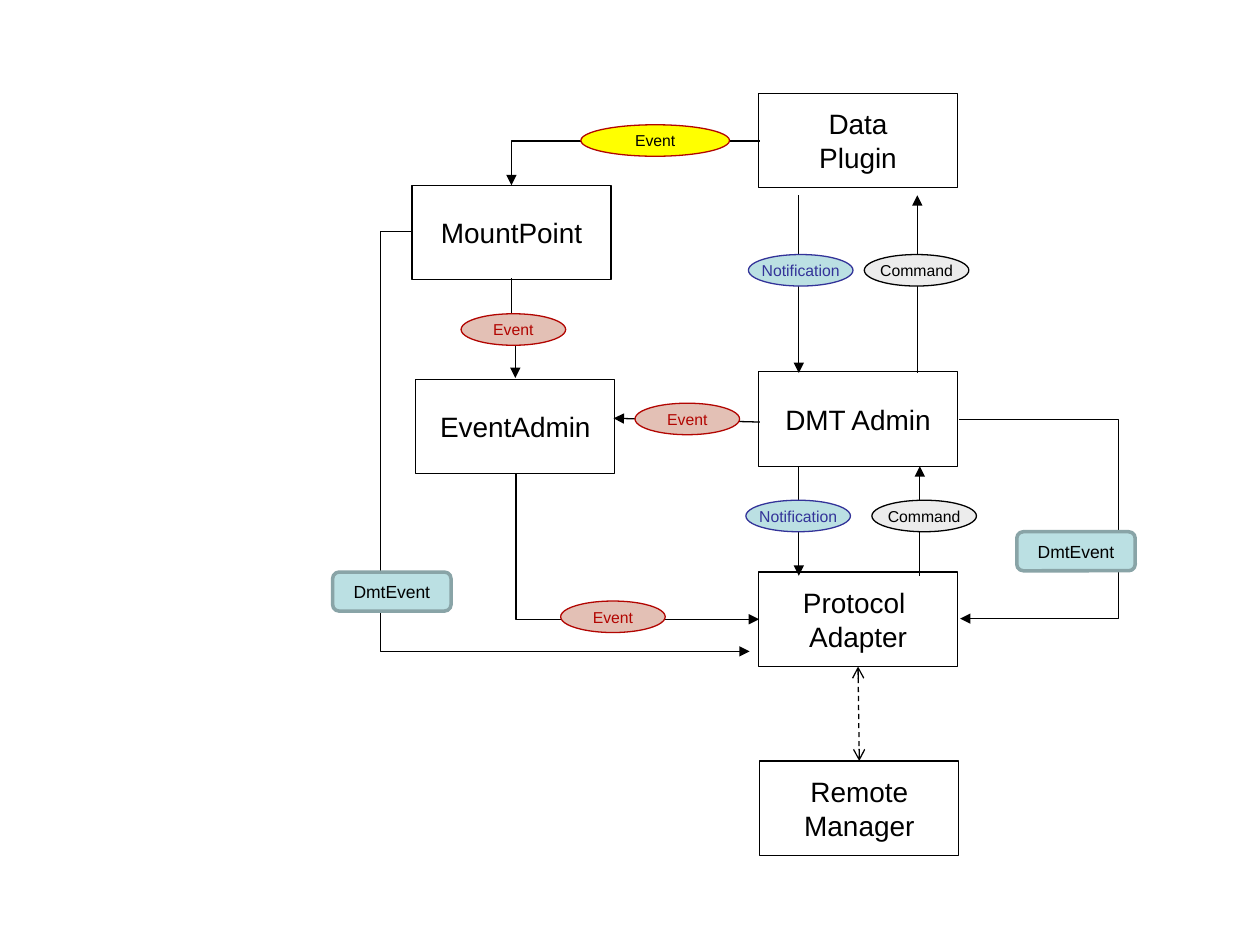
from lxml.etree import SubElement
from pptx import Presentation
from pptx.dml.color import RGBColor
from pptx.enum.dml import MSO_LINE_DASH_STYLE as Dash
from pptx.enum.shapes import MSO_CONNECTOR as Connector, MSO_SHAPE as Shape
from pptx.enum.text import MSO_ANCHOR as Anchor, PP_ALIGN as Align
from pptx.oxml.ns import qn
from pptx.util import Inches, Pt

BLACK = RGBColor(0x00, 0x00, 0x00)
RED = RGBColor(0xB2, 0x05, 0x01)
PINK = RGBColor(0xE3, 0xC0, 0xB5)
YELLOW = RGBColor(0xFF, 0xFF, 0x00)
NAVY = RGBColor(0x33, 0x33, 0x99)
AQUA = RGBColor(0xBB, 0xE0, 0xE3)
TEAL = RGBColor(0x89, 0xA4, 0xA7)
GREY = RGBColor(0xEC, 0xEC, 0xEC)

DIAGRAM = (2.6, 0.7, 6.45, 6.13)
NODE_SIZE = (1.58, 0.75)

NODES = {
    "DMT Admin": (3.42, 2.25),
    "Protocol \nAdapter": (3.42, 3.84),
    "Data\nPlugin": (3.42, 0.04),
    "Remote\nManager": (3.43, 5.34),
    "MountPoint": (0.67, 0.77),
    "EventAdmin": (0.7, 2.31),
}

ARROWS = [
    ((3.74, 0.85), (3.74, 2.26)),
    ((3.74, 3.0), (3.74, 3.87)),
    ((4.68, 2.26), (4.68, 0.85)),
    ((4.7, 3.87), (4.7, 3.0)),
    ((3.43, 2.65), (2.27, 2.62)),
]

ELBOWS = [
    ("bentConnector2", (1.88, 2.67, 1.16, 1.93), {"rot": "16200000", "flipH": "1"}, []),
    ("bentConnector2", (1.46, 0.42, 1.97, 0.35), {"flipH": "1"}, []),
    ("bentConnector3", (1.08, 1.89, 0.79, 0.03), {"rot": "16200000", "flipH": "1"}, [50000]),
    ("bentConnector4", (0.67, 1.14, 2.68, 3.33), {}, [-9300, 100000]),
    ("bentConnector3", (5.01, 2.63, 0.01, 1.58), {}, [12900000]),
]

EVENT = {"text": "Event", "fill": PINK, "line": RED, "color": RED}
PLUGIN_EVENT = {"text": "Event", "fill": YELLOW, "line": RED, "color": BLACK}
NOTIFICATION = {"text": "Notification", "fill": AQUA, "line": NAVY, "color": NAVY}
COMMAND = {"text": "Command", "fill": GREY, "line": BLACK, "color": BLACK}
DMT_EVENT = {
    "text": "DmtEvent", "fill": AQUA, "line": TEAL, "color": BLACK,
    "preset": Shape.ROUNDED_RECTANGLE, "size": 10, "weight": 2,
}

LABELS = [
    (EVENT, (2.44, 2.5, 0.83, 0.25)),
    (EVENT, (1.85, 4.07, 0.83, 0.25)),
    (EVENT, (1.06, 1.79, 0.83, 0.25)),
    (PLUGIN_EVENT, (2.01, 0.29, 1.18, 0.25)),
    (NOTIFICATION, (3.34, 1.32, 0.83, 0.25)),
    (NOTIFICATION, (3.32, 3.27, 0.83, 0.25)),
    (COMMAND, (4.32, 3.27, 0.83, 0.25)),
    (COMMAND, (4.26, 1.32, 0.83, 0.25)),
    (DMT_EVENT, (5.47, 3.52, 0.94, 0.31)),
    (DMT_EVENT, (0.04, 3.84, 0.94, 0.31)),
]


def within(region, x, y):
    return Inches(region[0] + x), Inches(region[1] + y)


def add_text_shape(slide, region, box, text, line, color, fill=None,
                   preset=Shape.OVAL, size=9, weight=0.75):
    x, y, width, height = box
    shape = slide.shapes.add_shape(
        preset, *within(region, x, y), Inches(width), Inches(height))
    shape.shadow.inherit = False
    if fill is None:
        shape.fill.background()
    else:
        shape.fill.solid()
        shape.fill.fore_color.rgb = fill
    shape.line.color.rgb = line
    shape.line.width = Pt(weight)
    frame = shape.text_frame
    frame.text = text
    frame.word_wrap = False
    frame.vertical_anchor = Anchor.MIDDLE
    for paragraph in frame.paragraphs:
        paragraph.alignment = Align.CENTER
        font = paragraph.runs[0].font
        for name, value in {"name": "Arial", "size": Pt(size)}.items():
            setattr(font, name, value)
        font.color.rgb = color
    return shape


def style_connector(connector, dash=None, **ends):
    connector.line.color.rgb = BLACK
    connector.line.width = Pt(0.75)
    if dash:
        connector.line.dash_style = dash
    properties = connector._element.spPr
    for end, kind in ends.items():
        SubElement(properties.find(qn("a:ln")), qn(f"a:{end}"), type=kind)
    SubElement(properties, qn("a:effectLst"))


def add_nodes(slide, region):
    return {
        text: add_text_shape(slide, region, (*corner, *NODE_SIZE), text, BLACK, BLACK,
                             preset=Shape.RECTANGLE, size=16)
        for text, corner in NODES.items()
    }


def add_arrows(slide, region):
    for start, end in ARROWS:
        connector = slide.shapes.add_connector(
            Connector.STRAIGHT, *within(region, *start), *within(region, *end))
        style_connector(connector, tailEnd="triangle")


def add_elbows(slide, region):
    for preset, (x, y, width, height), transform, adjustments in ELBOWS:
        connector = slide.shapes.add_connector(
            Connector.ELBOW, *within(region, x, y), *within(region, x + width, y + height))
        properties = connector._element.spPr
        for name, value in transform.items():
            properties.find(qn("a:xfrm")).set(name, value)
        geometry = properties.find(qn("a:prstGeom"))
        geometry.set("prst", preset)
        for number, value in enumerate(adjustments, 1):
            SubElement(geometry.find(qn("a:avLst")), qn("a:gd"),
                       name=f"adj{number}", fmla=f"val {value}")
        style_connector(connector, tailEnd="triangle")


def add_remote_link(slide, adapter, manager):
    connector = slide.shapes.add_connector(Connector.STRAIGHT, 0, 0, 0, 0)
    connector.begin_connect(adapter, 2)
    connector.end_connect(manager, 0)
    style_connector(connector, Dash.DASH, headEnd="arrow", tailEnd="arrow")


def add_labels(slide, region):
    for label, box in LABELS:
        add_text_shape(slide, region, box, **label)


def add_diagram(slide, region):
    nodes = add_nodes(slide, region)
    add_arrows(slide, region)
    add_elbows(slide, region)
    add_remote_link(slide, nodes["Protocol \nAdapter"], nodes["Remote\nManager"])
    add_labels(slide, region)


def main():
    presentation = Presentation()
    presentation.slide_width = Inches(10)
    presentation.slide_height = Inches(7.5)
    slide = presentation.slides.add_slide(presentation.slide_layouts[6])
    add_diagram(slide, DIAGRAM)
    presentation.save("out.pptx")


if __name__ == "__main__":
    main()
